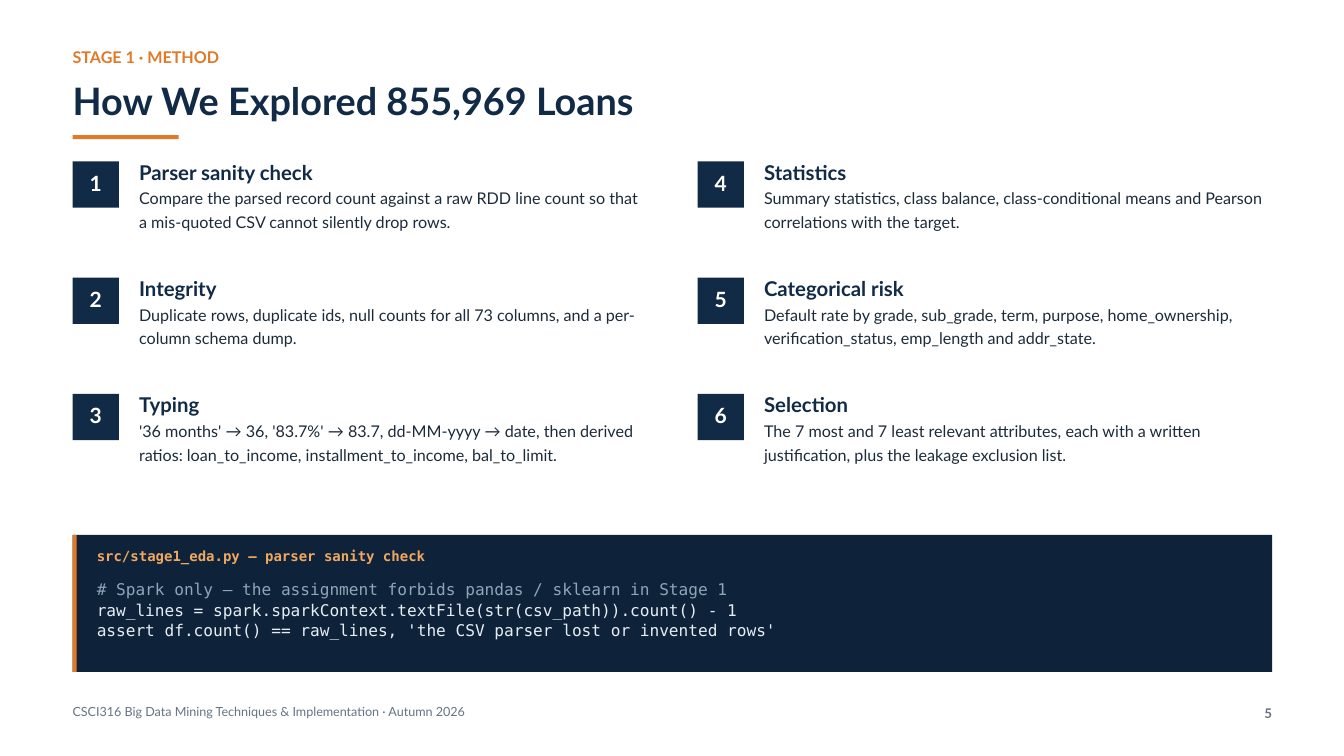
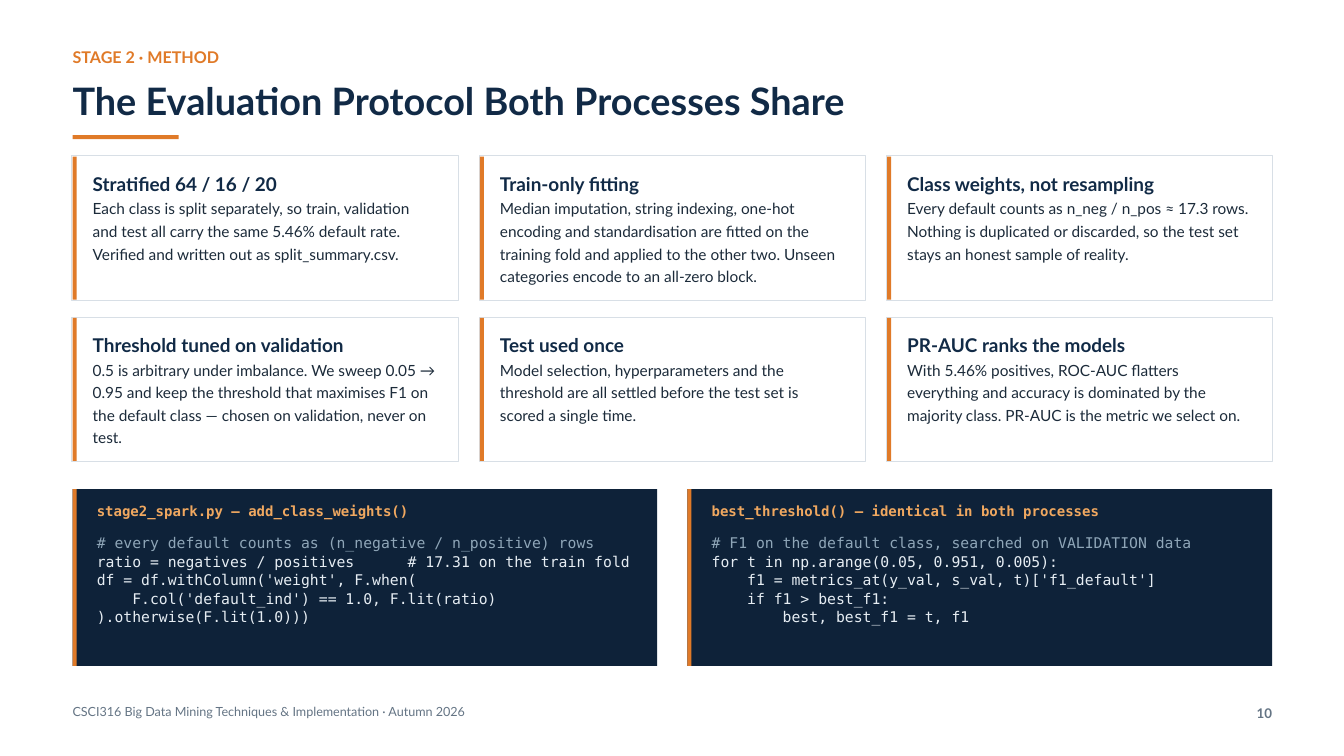
from typing import NamedTuple

from pptx import Presentation
from pptx.dml.color import RGBColor
from pptx.enum.shapes import MSO_SHAPE
from pptx.enum.text import MSO_AUTO_SIZE, PP_ALIGN
from pptx.slide import Slide
from pptx.util import Emu, Pt

# Scale: 100 px to the inch
PX = 9144
WIDTH, HEIGHT = 2000, 1125
LEFT, CONTENT_W = 108, 1785
BAR = 6

# Colours and fonts
NAVY, ORANGE, WHITE = "112A46", "E07A28", "FFFFFF"
INK, GREY, BORDER = "1C2B3A", "647484", "D8DFE6"
CODE_BG, CODE_LABEL, CODE_COMMENT, CODE_TEXT = "0E2239", "F0A860", "8FA6B8", "E6EDF3"
SANS, MONO = "Lato", "DejaVu Sans Mono"

FOOTER = "CSCI316 Big Data Mining Techniques & Implementation · Autumn 2026"


class Box(NamedTuple):
    x: int
    y: int
    w: int
    h: int


class Style(NamedTuple):
    size: float
    leading: float
    colour: str
    bold: bool = False
    font: str = SANS


class Line(NamedTuple):
    text: str
    style: Style


class Item(NamedTuple):
    title: str
    body: str


class CodePanel(NamedTuple):
    box: Box
    label: str
    size: float
    leading: float
    code: list[str]


# Text styles
EYEBROW = Style(17.3, 23.2, ORANGE, True)
TITLE = Style(40.5, 54.5, NAVY, True)
FOOT = Style(13.5, 18.1, GREY)
PAGE_NO = Style(14.3, 19.2, GREY, True)
BADGE = Style(22.5, 30.3, WHITE, True)
STEP_TITLE = Style(21.8, 29.2, NAVY, True)
STEP_BODY = Style(17.3, 25.3, INK)
CARD_TITLE = Style(20.3, 27.2, NAVY, True)
CARD_BODY = Style(16.5, 24.2, INK)
LABEL = Style(15, 20.2, CODE_LABEL, True, MONO)

# Content
STEPS = [
    Item("Parser sanity check",
         "Compare the parsed record count against a raw RDD line count so that "
         "a mis-quoted CSV cannot silently drop rows."),
    Item("Integrity",
         "Duplicate rows, duplicate ids, null counts for all 73 columns, and a "
         "per-column schema dump."),
    Item("Typing",
         "'36 months' → 36, '83.7%' → 83.7, dd-MM-yyyy → date, then derived "
         "ratios: loan_to_income, installment_to_income, bal_to_limit."),
    Item("Statistics",
         "Summary statistics, class balance, class-conditional means and "
         "Pearson correlations with the target."),
    Item("Categorical risk",
         "Default rate by grade, sub_grade, term, purpose, home_ownership, "
         "verification_status, emp_length and addr_state."),
    Item("Selection",
         "The 7 most and 7 least relevant attributes, each with a written "
         "justification, plus the leakage exclusion list."),
]

CARDS = [
    Item("Stratified 64 / 16 / 20",
         "Each class is split separately, so train, validation and test all "
         "carry the same 5.46% default rate. Verified and written out as "
         "split_summary.csv."),
    Item("Train-only fitting",
         "Median imputation, string indexing, one-hot encoding and "
         "standardisation are fitted on the training fold and applied to the "
         "other two. Unseen categories encode to an all-zero block."),
    Item("Class weights, not resampling",
         "Every default counts as n_neg / n_pos ≈ 17.3 rows. Nothing is "
         "duplicated or discarded, so the test set stays an honest sample of "
         "reality."),
    Item("Threshold tuned on validation",
         "0.5 is arbitrary under imbalance. We sweep 0.05 → 0.95 and keep the "
         "threshold that maximises F1 on the default class — chosen on "
         "validation, never on test."),
    Item("Test used once",
         "Model selection, hyperparameters and the threshold are all settled "
         "before the test set is scored a single time."),
    Item("PR-AUC ranks the models",
         "With 5.46% positives, ROC-AUC flatters everything and accuracy is "
         "dominated by the majority class. PR-AUC is the metric we select on."),
]

SANITY_CODE = CodePanel(
    Box(LEFT, 796, CONTENT_W, 204), "src/stage1_eda.py — parser sanity check", 17.3, 21.8,
    ["# Spark only — the assignment forbids pandas / sklearn in Stage 1",
     "raw_lines = spark.sparkContext.textFile(str(csv_path)).count() - 1",
     "assert df.count() == raw_lines, 'the CSV parser lost or invented rows'"])

PROTOCOL_CODE = [
    CodePanel(
        Box(LEFT, 728, 870, 263), "stage2_spark.py — add_class_weights()", 15.8, 19.9,
        ["# every default counts as (n_negative / n_positive) rows",
         "ratio = negatives / positives      # 17.31 on the train fold",
         "df = df.withColumn('weight', F.when(",
         "    F.col('default_ind') == 1.0, F.lit(ratio)",
         ").otherwise(F.lit(1.0)))"]),
    CodePanel(
        Box(1023, 728, 870, 263), "best_threshold() — identical in both processes", 15.8, 19.9,
        ["# F1 on the default class, searched on VALIDATION data",
         "for t in np.arange(0.05, 0.951, 0.005):",
         "    f1 = metrics_at(y_val, s_val, t)['f1_default']",
         "    if f1 > best_f1:",
         "        best, best_f1 = t, f1"]),
]


# Drawing helpers
def rgb(colour: str) -> RGBColor:
    return RGBColor.from_string(colour)


def emu(box: Box) -> list[Emu]:
    return [Emu(v * PX) for v in box]


def add_rect(s: Slide, box: Box, fill: str, border: str | None = None) -> None:
    sp = s.shapes.add_shape(MSO_SHAPE.RECTANGLE, *emu(box))
    sp.shadow.inherit = False
    sp.fill.solid()
    sp.fill.fore_color.rgb = rgb(fill)
    if border:
        sp.line.color.rgb = rgb(border)
        sp.line.width = Pt(1.13)
    else:
        sp.line.fill.background()


def add_text(s: Slide, box: Box, lines: list[Line],
             align: PP_ALIGN = PP_ALIGN.LEFT) -> None:
    tf = s.shapes.add_textbox(*emu(box)).text_frame
    tf.word_wrap = True
    tf.auto_size = MSO_AUTO_SIZE.SHAPE_TO_FIT_TEXT
    tf.margin_left = tf.margin_right = tf.margin_top = tf.margin_bottom = 0
    tf.text = "\n".join(line.text for line in lines)
    for p, (_, style) in zip(tf.paragraphs, lines):
        p.alignment = align
        p.line_spacing = Pt(style.leading)
        for r in p.runs:
            r.font.name = style.font
            r.font.size = Pt(style.size)
            r.font.bold = style.bold
            r.font.color.rgb = rgb(style.colour)


# Slide parts
def add_frame(prs: Presentation, eyebrow: str, title: str, page: int) -> Slide:
    s = prs.slides.add_slide(prs.slide_layouts[6])
    s.background.fill.solid()
    s.background.fill.fore_color.rgb = rgb(WHITE)
    add_text(s, Box(LEFT, 67, CONTENT_W, 30), [Line(eyebrow, EYEBROW)])
    add_text(s, Box(LEFT, 108, CONTENT_W, 73), [Line(title, TITLE)])
    add_rect(s, Box(LEFT, 201, 158, BAR), ORANGE)
    add_text(s, Box(LEFT, 1045, 1695, 25), [Line(FOOTER, FOOT)])
    add_text(s, Box(1803, 1046, 90, 25), [Line(str(page), PAGE_NO)], PP_ALIGN.RIGHT)
    return s


def add_step(s: Slide, x: int, y: int, number: int, step: Item) -> None:
    add_rect(s, Box(x, y, 69, 69), NAVY)
    add_text(s, Box(x, y + 9, 69, 40), [Line(str(number), BADGE)], PP_ALIGN.CENTER)
    add_text(s, Box(x + 99, y - 6, 756, 107),
             [Line(step.title, STEP_TITLE), Line(step.body, STEP_BODY)])


def add_card(s: Slide, x: int, y: int, card: Item) -> None:
    add_rect(s, Box(x - 1, y - 1, 575, 215), WHITE, BORDER)
    add_rect(s, Box(x, y, BAR, 213), ORANGE)
    add_text(s, Box(x + 30, y + 20, 513, 170),
             [Line(card.title, CARD_TITLE), Line(card.body, CARD_BODY)])


def add_code(s: Slide, panel: CodePanel) -> None:
    x, y, w, h = panel.box
    add_rect(s, panel.box, CODE_BG)
    add_rect(s, Box(x, y, BAR, h), ORANGE)
    add_text(s, Box(x + 36, y + 16, w - 72, 42), [Line(panel.label, LABEL)])
    plain = Style(panel.size, panel.leading, CODE_TEXT, font=MONO)
    comment = plain._replace(colour=CODE_COMMENT)
    add_text(s, Box(x + 36, y + 65, w - 72, h - 87),
             [Line(c, comment if c.startswith("#") else plain) for c in panel.code])


def main() -> None:
    prs = Presentation()
    prs.slide_width, prs.slide_height = Emu(WIDTH * PX), Emu(HEIGHT * PX)

    # Exploration steps: two columns of three
    s = add_frame(prs, "STAGE 1 · METHOD", "How We Explored 855,969 Loans", 5)
    for i, step in enumerate(STEPS):
        col, row = divmod(i, 3)
        add_step(s, LEFT + col * 930, 240 + row * 173, i + 1, step)
    add_code(s, SANITY_CODE)

    # Evaluation protocol: two rows of three cards
    s = add_frame(prs, "STAGE 2 · METHOD", "The Evaluation Protocol Both Processes Share", 10)
    for i, card in enumerate(CARDS):
        row, col = divmod(i, 3)
        add_card(s, LEFT + col * 606, 233 + row * 240, card)
    for panel in PROTOCOL_CODE:
        add_code(s, panel)

    prs.save("out.pptx")


if __name__ == "__main__":
    main()
